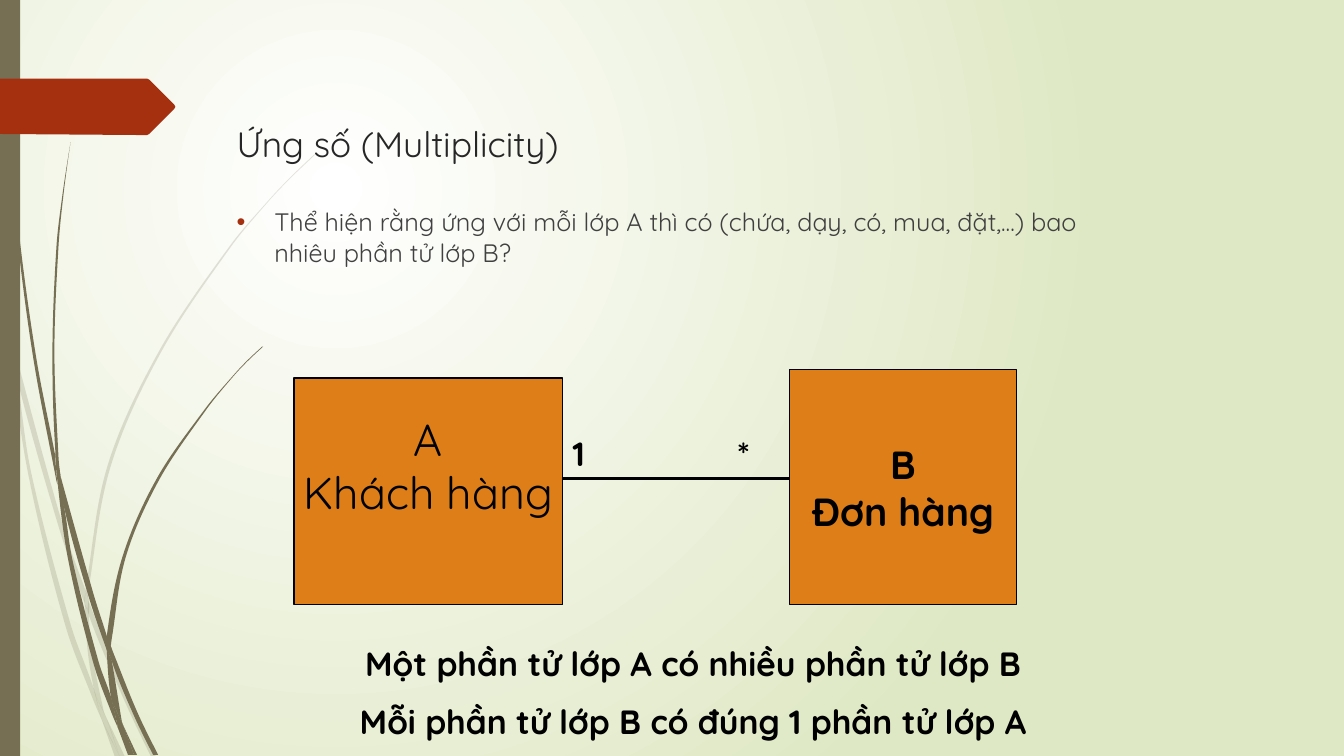
import dataclasses

import lxml.etree
import pptx
import pptx.dml.color
import pptx.enum.shapes
import pptx.enum.text
import pptx.oxml
import pptx.oxml.ns
import pptx.util

PX = 3048  # 300 px to the inch
TRACE = 3  # px in one step of the traced outlines
SLIDE_BOX = (0, 0, 4000, 2250)
ALIGN = pptx.enum.text.PP_ALIGN
SHAPE = pptx.enum.shapes.MSO_SHAPE
NS = pptx.oxml.ns.nsdecls("a")
qn = pptx.oxml.ns.qn


@dataclasses.dataclass(frozen=True)
class Theme:
    font: str = "Quicksand"
    title: str = "262626"
    body: str = "404040"
    ink: str = "000000"
    accent: str = "A53010"
    stalk: str = "766F54"
    entity: str = "DE7E18"
    glow: str = "FFFFFF"
    backdrop: str = "DFE8C4"
    title_size: float = 25.2
    body_size: int = 18
    note_size: int = 24
    customer_size: int = 32
    order_size: int = 28


THEME = Theme()

# Each piece of grass is its right edge and its left edge, both from the top down
FAINT_GRASS = [
    ([(0, 282), (9, 322), (11, 350)], [(0, 299), (10, 344), (11, 350)]),
    ([(14, 345), (62, 520), (85, 586)], [(14, 345), (17, 376), (58, 522), (84, 599)]),
    ([(88, 596), (92, 607), (127, 692), (155, 751)],
     [(88, 596), (88, 610), (123, 694), (150, 751)]),
    ([(105, 711), (124, 751)], [(105, 711), (119, 751)]),
    ([(11, 350), (17, 376), (31, 469), (70, 619), (93, 683), (99, 707), (101, 714)],
     [(11, 350), (28, 470), (65, 621), (92, 693), (101, 714)]),
    ([(84, 599), (88, 608), (88, 610), (91, 646), (103, 706), (105, 711)],
     [(84, 599), (87, 646), (93, 683), (96, 692), (105, 711)]),
    ([(312, 153), (312, 154), (290, 175), (268, 198), (229, 245), (160, 349), (110, 462),
      (88, 584), (88, 596)],
     [(312, 153), (289, 175), (268, 197), (228, 244), (158, 348), (107, 461), (85, 584),
      (85, 586), (88, 596)]),
    ([(101, 714), (119, 751)], [(101, 714), (114, 751)]),
    ([(85, 586), (88, 596), (88, 610)], [(85, 586), (84, 599), (88, 608), (88, 610)]),
    ([(93, 683), (96, 692), (105, 711), (119, 751)],
     [(93, 683), (99, 707), (101, 714), (119, 751)]),
]
DARK_GRASS = [
    ([(4, 0), (5, 48), (8, 109), (19, 232), (36, 355), (55, 453), (55, 457), (57, 481)],
     [(3, 0), (4, 48), (7, 110), (17, 233), (33, 355), (56, 477), (57, 481)]),
    ([(60, 472), (93, 590), (106, 631), (106, 633), (106, 645)],
     [(60, 472), (64, 505), (88, 592), (106, 645)]),
    ([(110, 641), (113, 649), (136, 706), (157, 749)],
     [(110, 641), (111, 656), (132, 708), (152, 749)]),
    ([(57, 477), (64, 505), (72, 556), (98, 657), (110, 691), (116, 717), (117, 722)],
     [(57, 477), (68, 557), (93, 659), (111, 708), (117, 722)]),
    ([(70, 141), (63, 193), (58, 245), (54, 349), (58, 453), (60, 472)],
     [(70, 141), (62, 193), (56, 245), (52, 349), (55, 449), (60, 472)]),
    ([(122, 719), (136, 749)], [(122, 719), (133, 749)]),
    ([(55, 449), (60, 472), (64, 505)], [(55, 449), (55, 453), (57, 477), (64, 505)]),
    ([(261, 344), (245, 359), (231, 374), (205, 406), (158, 476), (125, 552), (111, 633),
      (110, 641)],
     [(260, 344), (245, 358), (231, 373), (204, 405), (156, 474), (122, 551), (106, 631),
      (110, 641)]),
    ([(117, 722), (131, 749)], [(117, 722), (127, 749)]),
    ([(106, 645), (109, 651), (111, 656), (121, 716), (122, 719)],
     [(106, 645), (110, 691), (116, 706), (122, 719)]),
    ([(106, 631), (110, 641), (111, 656)],
     [(106, 631), (106, 633), (106, 645), (109, 651), (111, 656)]),
    ([(110, 691), (116, 706), (122, 719), (133, 749)],
     [(110, 691), (116, 717), (117, 722), (130, 749)]),
]
RIBBON = [(0, 78), (146, 78), (148, 79), (173, 104), (174, 106), (173, 108),
          (148, 133), (146, 134), (136, 134), (0, 133)]


def rgb(color):
    return pptx.dml.color.RGBColor.from_string(color)


def emu(*lengths):
    return [round(length * PX) for length in lengths]


def curve_edge(edge):
    """Points of an edge with two Bézier handles between each pair of knots."""
    chords = [(xb - xa) / (yb - ya) for (xa, ya), (xb, yb) in zip(edge, edge[1:])]
    slopes = [(xb - xa) / (yb - ya) for (xa, ya), (xb, yb) in zip(edge, edge[2:])]
    if slopes:
        slopes = [1.5 * chords[0] - slopes[0] / 2, *slopes, 1.5 * chords[-1] - slopes[-1] / 2]
    else:
        slopes = chords * 2
    points = [edge[0]]
    for i, ((xa, ya), (xb, yb)) in enumerate(zip(edge, edge[1:])):
        third = (yb - ya) / 3
        points += [(xa + third * slopes[i], ya + third),
                   (xb - third * slopes[i + 1], yb - third), (xb, yb)]
    return points


def paint(shape, color, outline=None, opacity=None):
    shape.shadow.inherit = False
    shape.fill.solid()
    shape.fill.fore_color.rgb = rgb(color)
    if opacity:
        shade = next(shape.element.iter(qn("a:srgbClr")))
        lxml.etree.SubElement(shade, qn("a:alpha")).set("val", str(opacity * 1000))
    if outline:
        shape.line.color.rgb = rgb(outline)
        shape.line.width = pptx.util.Pt(0.75)
    else:
        shape.line.fill.background()


def add_outline(shapes, origin, points, color, opacity=None):
    left, top = origin
    corners = [emu(left + x * TRACE, top + y * TRACE) for x, y in points]
    builder = shapes.build_freeform(*corners[0], scale=1.0)
    builder.add_line_segments(corners[1:], close=True)
    outline = builder.convert_to_shape()
    paint(outline, color, opacity=opacity)
    return outline


def add_grass_piece(shapes, origin, edges, opacity):
    right, left = map(curve_edge, edges)
    # Straight caps count as curves whose handles lie on their ends
    bottom = [right[-1], left[-1], left[-1]] if right[-1] != left[-1] else []
    points = right + bottom + left[-2::-1]
    piece = add_outline(shapes, origin, points, THEME.stalk, opacity)
    lines = list(piece.element.iter(qn("a:lnTo")))
    for i in range(0, len(points) - 1, 3):
        curve = lxml.etree.Element(qn("a:cubicBezTo"))
        lines[i].addprevious(curve)
        for line in lines[i:i + 3]:
            curve.append(line[0])
            line.getparent().remove(line)


def write(frame, lines, size, color=THEME.ink, bold=False, align=ALIGN.LEFT, before=0):
    for i, line in enumerate(lines):
        paragraph = frame.add_paragraph() if i else frame.paragraphs[0]
        paragraph.text = line
        paragraph.alignment = align
        paragraph.space_before = pptx.util.Pt(before)
        paragraph.font.name = THEME.font
        paragraph.font.size = pptx.util.Pt(size)
        paragraph.font.bold = bold
        paragraph.font.color.rgb = rgb(color)


def add_text(slide, box, lines, size, **style):
    frame = slide.shapes.add_textbox(*emu(*box)).text_frame
    frame.word_wrap = True
    write(frame, lines, size, **style)
    return frame


def add_backdrop(slide):
    fill = slide.background.fill
    fill.gradient()
    for stop, color in zip(fill.gradient_stops, (THEME.glow, THEME.backdrop)):
        stop.color.rgb = rgb(color)
    gradient = next(slide.element.iter(qn("a:gradFill")))
    gradient.replace(gradient.find(qn("a:lin")), pptx.oxml.parse_xml(
        f'<a:path {NS} path="circle">'
        '<a:fillToRect l="50000" t="50000" r="100000" b="100000"/></a:path>'))


def add_side_decoration(slide, box):
    left, top, _, height = box
    # Grass
    for grass, opacity in ((FAINT_GRASS, 20), (DARK_GRASS, None)):
        tuft = slide.shapes.add_group_shape()
        for edges in grass:
            add_grass_piece(tuft.shapes, (left, top), edges, opacity)
    # Side bar and ribbon
    bar = slide.shapes.add_shape(SHAPE.RECTANGLE, *emu(left, top, 60, height))
    paint(bar, THEME.stalk)
    add_outline(slide.shapes, (left, top), RIBBON, THEME.accent)


def add_heading(slide, box):
    left, top, width, height = box
    add_text(slide, (left, top, 2100, 159), ["Ứng số (Multiplicity)"],
             THEME.title_size, color=THEME.title)
    # Bulleted question
    question = add_text(
        slide, (left, top + 250, width, height - 250),
        ["Thể hiện rằng ứng với mỗi lớp A thì có (chứa, dạy, có, mua, đặt,...) "
         "bao nhiêu phần tử lớp B?"],
        THEME.body_size, color=THEME.body, before=10)
    properties = question.paragraphs[0]._p.get_or_add_pPr()
    indent = emu(112)[0]
    properties.set("marL", str(indent))
    properties.set("indent", str(-indent))
    for bullet in (f'<a:buClr {NS}><a:srgbClr val="{THEME.accent}"/></a:buClr>',
                   f'<a:buFont {NS} typeface="Arial"/>', f'<a:buChar {NS} char="•"/>'):
        properties.append(pptx.oxml.parse_xml(bullet))


def add_entity(slide, box, lines, size, bold, lift=0):
    entity = slide.shapes.add_shape(SHAPE.RECTANGLE, *emu(*box))
    paint(entity, THEME.entity, THEME.ink)
    frame = entity.text_frame
    frame.word_wrap = False
    frame.vertical_anchor = pptx.enum.text.MSO_ANCHOR.MIDDLE
    frame.margin_bottom = emu(15 + lift)[0]
    write(frame, lines, size, bold=bold, align=ALIGN.CENTER)


def add_association(slide, box):
    left, top, width, height = box
    customer_right, order_left = left + 800, left + width - 675
    # The two classes
    add_entity(slide, (left, top + 25, 800, height - 25), ["A", "Khách hàng"],
               THEME.customer_size, bold=False, lift=156)
    add_entity(slide, (order_left, top, 675, height), ["B", "Đơn hàng"],
               THEME.order_size, bold=True)
    # Link between them
    link = slide.shapes.add_connector(
        pptx.enum.shapes.MSO_CONNECTOR.STRAIGHT,
        *emu(customer_right, top + 325, order_left, top + 325))
    link.line.color.rgb = rgb(THEME.ink)
    link.line.width = pptx.util.Pt(2.25)
    lxml.etree.SubElement(link.element.spPr, qn("a:effectLst"))
    # Multiplicity at each end
    add_text(slide, (customer_right, top + 175, 225, 150), ["1"], THEME.note_size,
             bold=True, before=12)
    add_text(slide, (order_left - 300, top + 175, 325, 150), ["*"], THEME.note_size,
             bold=True, align=ALIGN.CENTER, before=12)


def add_conclusion(slide, box):
    add_text(slide, box, ["Một phần tử lớp A có nhiều phần tử lớp B",
                          "Mỗi phần tử lớp B có đúng 1 phần tử lớp A"],
             THEME.note_size, bold=True, align=ALIGN.CENTER, before=12.5)


def main():
    deck = pptx.Presentation()
    deck.slide_width, deck.slide_height = emu(*SLIDE_BOX[2:])
    slide = deck.slides.add_slide(deck.slide_layouts[6])
    add_backdrop(slide)
    add_side_decoration(slide, SLIDE_BOX)
    add_heading(slide, (675, 350, 2688, 1795))
    add_association(slide, (875, 1100, 2150, 700))
    add_conclusion(slide, (975, 1900, 2175, 333))
    deck.save("out.pptx")


if __name__ == "__main__":
    main()
